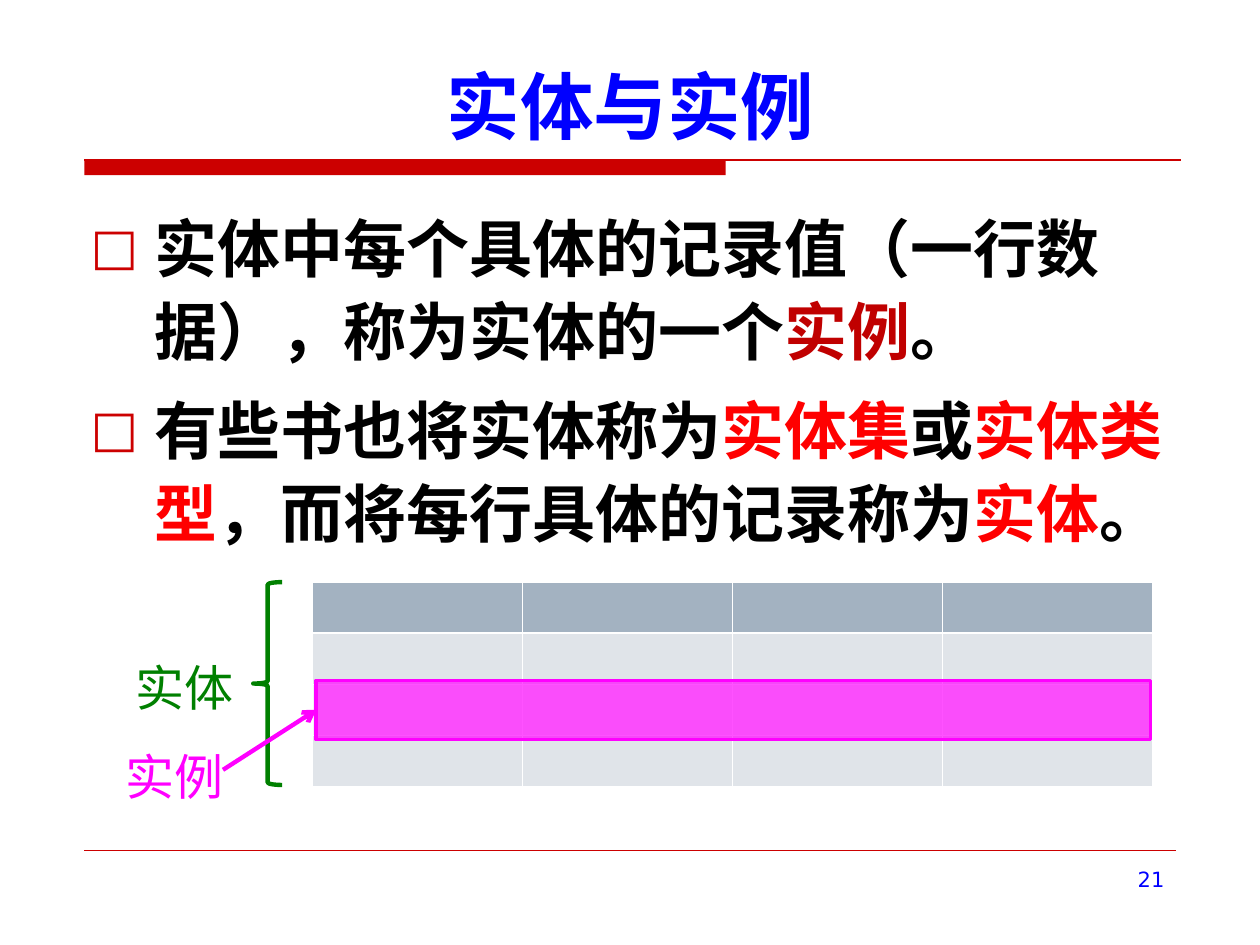
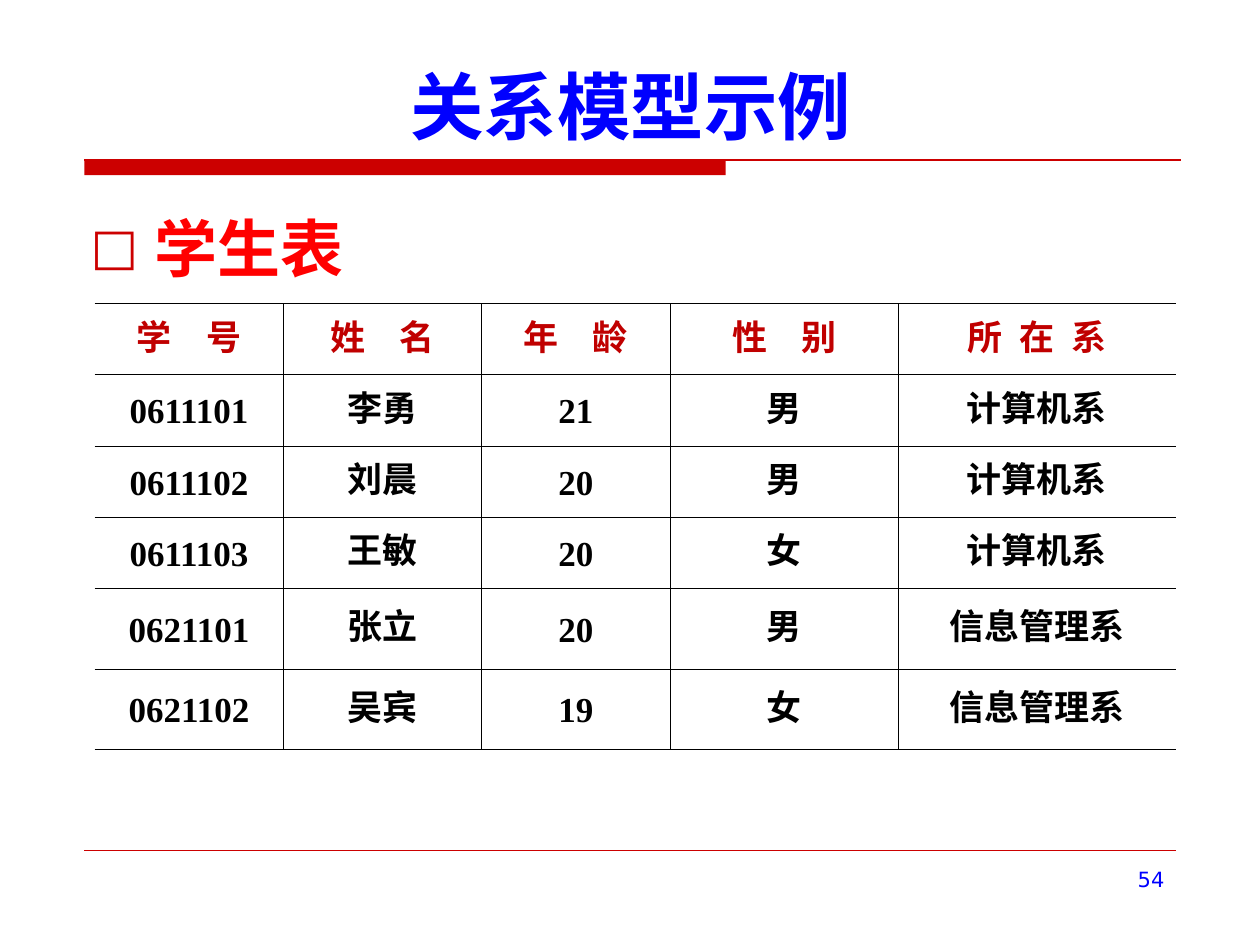
"""Builds two database lecture slides: entity and instance, and a relational table."""
from lxml import etree
from pptx import Presentation, util as u
from pptx.dml.color import RGBColor
from pptx.enum import shapes, text
from pptx.oxml import ns

BLUE, RED, DARK_RED, BAND = "0000FF", "FF0000", "C00000", "CC0000"
BLACK, WHITE, GREEN, PINK = "000000", "FFFFFF", "008000", "FF00FF"
HEADER_GREY, ROW_GREY, PALE_GREY = "A3B2C1", "E0E4E9", "F0F2F4"
HEADING_FONT, LABEL_FONT = "Noto Sans CJK SC", "Noto Sans CJK JP"
LINE_FACTOR = 1.2


def color(value):
    return RGBColor.from_string(value)


def apply(target, values):
    for name, value in values.items():
        setattr(target, name, value)


def child(parent, tag, **attributes):
    return etree.SubElement(parent, ns.qn(tag), attributes)


class Deck:
    """Holds the shared style and the current slide on a grid of 100 by 75."""

    def __init__(self):
        self.presentation = Presentation()
        apply(self.presentation, {"slide_width": u.Inches(10), "slide_height": u.Inches(7.5)})
        self.column = self.presentation.slide_width / 100
        self.row = self.presentation.slide_height / 75

    def grid(self, *values):
        units = (self.column, self.row)
        return [u.Emu(round(value * units[i % 2])) for i, value in enumerate(values)]

    def new_slide(self, title, number):
        self.slide = self.presentation.slides.add_slide(self.presentation.slide_layouts[6])
        self.shape("RECTANGLE", (6.7, 12.7, 50.9, 1.2), fill=BAND)
        self.line((6.7, 12.7, 93.7, 12.7), BAND, 0.75)
        self.line((6.7, 67.5, 93.3, 67.5), BAND, 0.25)
        self.text((6.3, 3.3, 87.5, 9), [[(title, BLUE)]], 42, bold=True,
                  align="CENTER", anchor="BOTTOM")
        self.text((71.7, 68.3, 21.7, 5.2), [[(number, BLUE)]], 12,
                  font="DejaVu Sans", align="RIGHT")

    def shape(self, kind, at, fill=None, line=None, width=1, alpha=None):
        shape = self.slide.shapes.add_shape(getattr(shapes.MSO_SHAPE, kind), *self.grid(*at))
        shape.shadow.inherit = False
        if fill:
            shape.fill.solid()
            shape.fill.fore_color.rgb = color(fill)
        else:
            shape.fill.background()
        if alpha:
            fill_color = shape.fill._xPr.find(".//" + ns.qn("a:srgbClr"))
            child(fill_color, "a:alpha", val=str(alpha * 1000))
        if line:
            shape.line.color.rgb = color(line)
            shape.line.width = u.Pt(width)
        else:
            shape.line.fill.background()
        return shape

    def line(self, ends, line_color, width, target=None):
        connector = self.slide.shapes.add_connector(
            shapes.MSO_CONNECTOR.STRAIGHT, *self.grid(*ends))
        connector.line.color.rgb = color(line_color)
        connector.line.width = u.Pt(width)
        if target is not None:
            connector.end_connect(target, 1)
            child(connector.line._get_or_add_ln(), "a:tailEnd", type="arrow")
        child(connector._element.spPr, "a:effectLst")

    def run(self, paragraph, words, run_color, size, font, bold, spacing=0):
        run = paragraph.add_run()
        run.text = words
        apply(run.font, {"size": u.Pt(size), "bold": bold, "name": font})
        run.font.color.rgb = color(run_color)
        properties = run.font._rPr
        east_asian = LABEL_FONT if font == LABEL_FONT else HEADING_FONT
        child(properties, "a:ea", typeface=east_asian)
        if spacing:
            properties.set("spc", str(int(spacing * 100)))

    def text(self, at, paragraphs, size, font=HEADING_FONT, bold=False,
             align="LEFT", anchor="TOP", bullet=False):
        frame = self.slide.shapes.add_textbox(*self.grid(*at)).text_frame
        apply(frame, {"word_wrap": True, "vertical_anchor": getattr(text.MSO_ANCHOR, anchor)})
        for index, runs in enumerate(paragraphs):
            paragraph = frame.add_paragraph() if index else frame.paragraphs[0]
            spacing = 1.1 if bullet else 1
            apply(paragraph, {"alignment": getattr(text.PP_ALIGN, align),
                              "line_spacing": u.Pt(round(size * LINE_FACTOR * spacing, 1)),
                              "space_before": u.Pt(9 if index else 0)})
            if bullet:
                self.bullet(paragraph)
            for words, run_color in runs:
                self.run(paragraph, words, run_color, size, font, bold)

    def bullet(self, paragraph):
        properties = paragraph._p.get_or_add_pPr()
        indent = u.Inches(0.51)
        properties.set("marL", str(indent))
        properties.set("indent", str(-indent))
        child(child(properties, "a:buClr"), "a:srgbClr", val=BAND)
        child(properties, "a:buSzPct", val="80000")
        child(properties, "a:buFont", typeface="DejaVu Sans")
        child(properties, "a:buChar", char="□")

    def body(self, height, paragraphs):
        self.text((6.2, 15.5, 87.5, height), paragraphs, 36, bold=True, bullet=True)

    def table(self, left, top, widths, heights):
        at = self.grid(left, top, sum(widths), sum(heights))
        table = self.slide.shapes.add_table(len(heights), len(widths), *at).table
        apply(table, {"first_row": False, "horz_banding": False})
        for column, width in zip(table.columns, widths):
            column.width = u.Emu(round(width * self.column))
        for row, height in zip(table.rows, heights):
            row.height = u.Emu(round(height * self.row))
        return table

    def cell(self, cell, borders, fill=None):
        apply(cell, {"margin_left": u.Inches(0.07), "margin_right": u.Inches(0.07),
                     "vertical_anchor": text.MSO_ANCHOR.MIDDLE})
        properties = cell._tc.get_or_add_tcPr()
        for side in "LRTB":
            line_color, width = borders[side]
            border = child(properties, "a:ln" + side, w=str(u.Pt(width)))
            if line_color:
                child(child(border, "a:solidFill"), "a:srgbClr", val=line_color)
            else:
                child(border, "a:noFill")
        if fill:
            cell.fill.solid()
            cell.fill.fore_color.rgb = color(fill)
        else:
            cell.fill.background()

    def cell_text(self, cell, words, is_header):
        paragraph = cell.text_frame.paragraphs[0]
        apply(paragraph, {"alignment": text.PP_ALIGN.CENTER, "line_spacing": u.Pt(24),
                          "space_after": u.Pt(2.4)})
        style = (DARK_RED if is_header else BLACK, 20, "Times New Roman", True)
        if is_header:
            spacing = 7.5 if words.count(" ") == 1 else 2.5
            self.run(paragraph, words[:-1], *style, spacing)
            words = words[-1]
        self.run(paragraph, words, *style)


def entity_slide(deck):
    deck.new_slide("实体与实例", "21")
    deck.body(51.2, [
        [("实体中每个具体的记录值（一行数据），称为实体的一个", BLACK),
         ("实例", DARK_RED), ("。", BLACK)],
        [("有些书也将实体称为", BLACK), ("实体集", RED), ("或", BLACK), ("实体类型", RED),
         ("，而将每行具体的记录称为", BLACK), ("实体", RED), ("。", BLACK)],
    ])
    fills = [HEADER_GREY, ROW_GREY, PALE_GREY, ROW_GREY]
    table = deck.table(24.8, 46.2, [16.67] * 4, [4.05] * 4)
    for row_index, (row, fill) in enumerate(zip(table.rows, fills)):
        borders = dict.fromkeys("LRTB", (WHITE, 0.45))
        if row_index < 2:
            borders["B" if row_index == 0 else "T"] = (WHITE, 1.47)
        for cell in row.cells:
            deck.cell(cell, borders, fill)
    deck.shape("LEFT_BRACE", (20.1, 46.2, 2.3, 16.1), line=GREEN, width=2.5)
    deck.text((9.8, 51.7, 10.2, 5.7), [[("实体", GREEN)]], 28, font=LABEL_FONT)
    instance = deck.shape("RECTANGLE", (25.1, 54, 66.2, 4.7), fill=PINK, line=PINK,
                          width=2, alpha=68)
    deck.line((17.7, 61.1, 25.1, 56.4), PINK, 2.5, target=instance)
    deck.text((9, 58.8, 10.2, 5.7), [[("实例", PINK)]], 28, font=LABEL_FONT)


def student_slide(deck):
    deck.new_slide("关系模型示例", "54")
    deck.body(7.9, [[("学生表", RED)]])
    students = [
        ("学 号", "姓 名", "年 龄", "性 别", "所 在 系"),
        ("0611101", "李勇", "21", "男", "计算机系"),
        ("0611102", "刘晨", "20", "男", "计算机系"),
        ("0611103", "王敏", "20", "女", "计算机系"),
        ("0621101", "张立", "20", "男", "信息管理系"),
        ("0621102", "吴宾", "19", "女", "信息管理系"),
    ]
    table = deck.table(7.5, 24.1, [15, 15.7, 15, 18.1, 22], [5.65] * 4 + [6.4] * 2)
    for row_index, record in enumerate(students):
        for column_index, words in enumerate(record):
            borders = dict.fromkeys("LRTB", (BLACK, 0.45))
            if column_index == 0:
                borders["L"] = (None, 0)
            if column_index == len(record) - 1:
                borders["R"] = (None, 0)
            cell = table.cell(row_index, column_index)
            deck.cell(cell, borders)
            deck.cell_text(cell, words, row_index == 0)


def main():
    deck = Deck()
    entity_slide(deck)
    student_slide(deck)
    deck.presentation.save("out.pptx")


if __name__ == "__main__":
    main()
